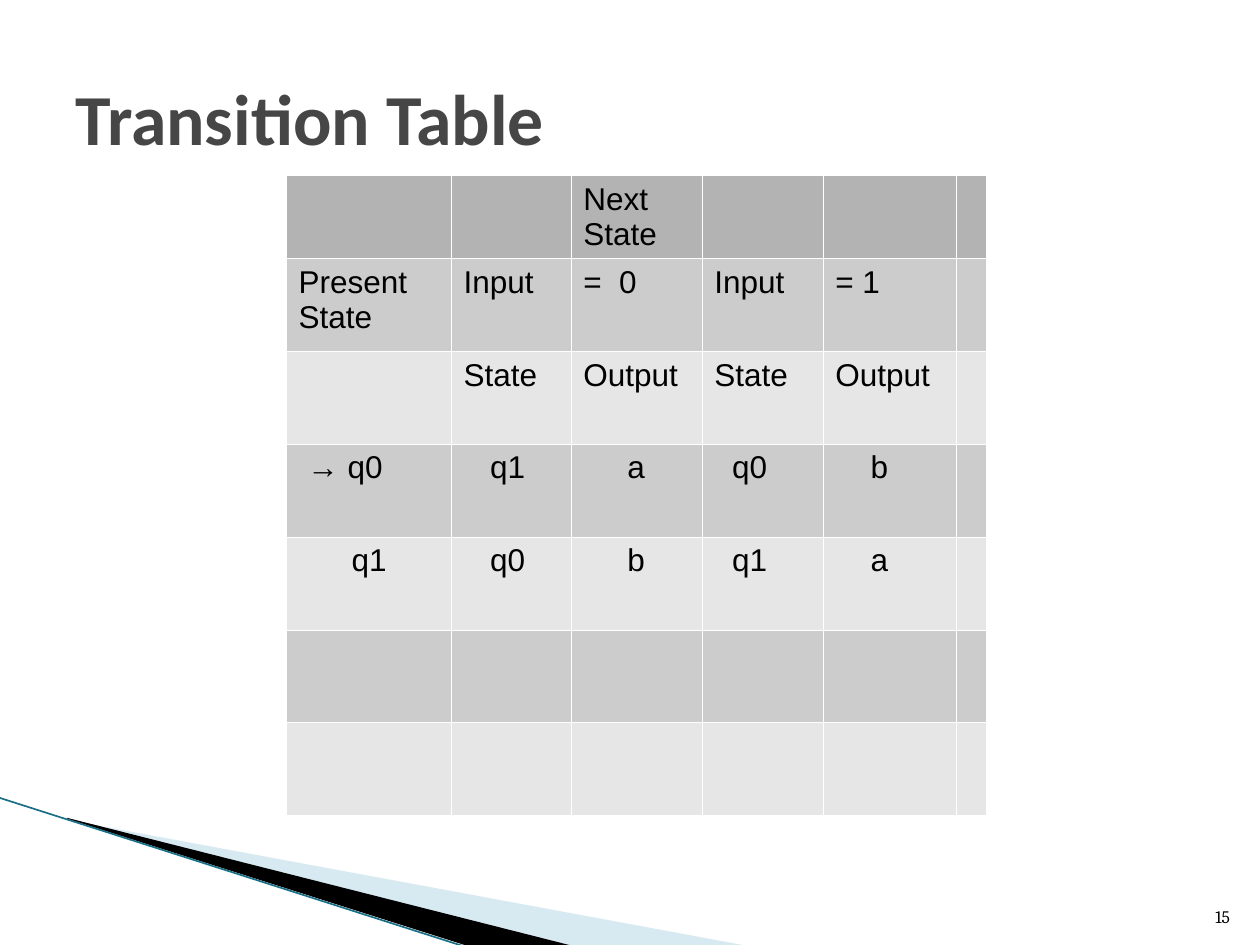
from lxml import etree
from pptx import Presentation
from pptx import util as u
from pptx.dml.color import RGBColor
from pptx.enum import shapes, text
from pptx.oxml.ns import qn

BLACK = RGBColor(0x00, 0x00, 0x00)
WHITE = RGBColor(0xFF, 0xFF, 0xFF)
TITLE_GRAY = RGBColor(0x46, 0x46, 0x46)
HEADER_GRAY = RGBColor(0xB3, 0xB3, 0xB3)
BAND_GRAYS = [RGBColor(0xE6, 0xE6, 0xE6), RGBColor(0xCC, 0xCC, 0xCC)]
PALE_BLUE = RGBColor(0x9F, 0xCB, 0xDC)
TEAL = RGBColor(0x19, 0x6F, 0x85)

presentation = Presentation()
presentation.slide_width, presentation.slide_height = u.Inches(10), u.Inches(7.5)
slide = presentation.slides.add_slide(presentation.slide_layouts[6])


def format_runs(paragraph, font_name, size, color, bold=False):
    """Apply one font to every run of a paragraph."""
    for run in paragraph.runs:
        run.font.name, run.font.size, run.font.bold = font_name, u.Pt(size), bold
        run.font.color.rgb = color


def add_label(box, content, anchor, alignment, *font):
    """Add a one-line text box; box is left, top, width, height in inches."""
    label = slide.shapes.add_textbox(*[u.Inches(length) for length in box])
    frame = label.text_frame
    frame.text = content
    frame.word_wrap = True
    frame.vertical_anchor = anchor
    frame.paragraphs[0].alignment = alignment
    format_runs(frame.paragraphs[0], *font)


# Corner wedges and their edge line
wedges = [
    (PALE_BLUE, 40, [(0.55, 6.51), (5.95, 7.51), (4.56, 7.51), (0.55, 6.5)]),
    (BLACK, 100, [(0.53, 6.49), (4.56, 7.51), (3.72, 7.51), (0.54, 6.5)]),
]
for color, opacity, points in wedges:
    corners = [(u.Inches(x), u.Inches(y)) for x, y in points]
    builder = slide.shapes.build_freeform(*corners[0])
    builder.add_line_segments(corners[1:], close=True)
    wedge = builder.convert_to_shape()
    wedge.shadow.inherit = False
    wedge.line.fill.background()
    wedge.fill.solid()
    wedge.fill.fore_color.rgb = color
    if opacity < 100:
        color_element = wedge._element.spPr.find(".//" + qn("a:srgbClr"))
        etree.SubElement(color_element, qn("a:alpha"), val=str(opacity * 1000))

edge = slide.shapes.add_connector(
    shapes.MSO_CONNECTOR.STRAIGHT,
    u.Inches(-0.01), u.Inches(6.33), u.Inches(3.71), u.Inches(7.52))
edge.line.color.rgb = TEAL
edge.line.width = u.Pt(0.96)
etree.SubElement(edge._element.spPr, qn("a:effectLst"))

# Slide number and title
add_label((9.46, 7.01, 0.4, 0.4), "15", text.MSO_ANCHOR.BOTTOM,
          text.PP_ALIGN.RIGHT, "Cambria", 10, BLACK)
add_label((0.5, 0.3, 9, 1.25), "Transition Table", text.MSO_ANCHOR.MIDDLE,
          text.PP_ALIGN.LEFT, "Calibri", 41, TITLE_GRAY, True)

# Transition table
table_height, header_height = 5.08, 0.66
column_widths = [1.31, 0.95, 1.04, 0.96, 1.06, 0.24]
row_heights = [header_height] + [(table_height - header_height) / 6] * 6
rows = [
    ["", "", "Next State", "", "", ""],
    ["Present State", "Input", "=  0", "Input", "= 1", ""],
    ["", "State", "Output", "State", "Output", ""],
    ["→ q0", "q1", "a", "q0", "b", ""],
    ["q1", "q0", "b", "q1", "a", ""],
    [""] * 6,
    [""] * 6,
]
# Left indents in inches for the two rows of states
indents = {3: [0.07, 0.21, 0.35, 0.14, 0.28, 0],
           4: [0.42, 0.21, 0.35, 0.14, 0.28, 0]}

table = slide.shapes.add_table(
    len(rows), len(column_widths), u.Inches(2.27), u.Inches(1.39),
    u.Inches(sum(column_widths)), u.Inches(table_height)).table
for column, width in zip(table.columns, column_widths):
    column.width = u.Inches(width)

for row_index, row in enumerate(rows):
    table.rows[row_index].height = u.Inches(row_heights[row_index])
    for column_index, content in enumerate(row):
        cell = table.cell(row_index, column_index)
        cell.text_frame.text = content
        paragraph = cell.text_frame.paragraphs[0]
        format_runs(paragraph, "Arial", 18, BLACK)
        if row_index in indents:
            indent = u.Inches(indents[row_index][column_index])
            paragraph._p.get_or_add_pPr().set("marL", str(indent))
        if row_index == 0:
            cell.margin_bottom = u.Inches(0.01)

        properties = cell._tc.get_or_add_tcPr()
        for side in ("a:lnL", "a:lnR", "a:lnT", "a:lnB"):
            border = etree.SubElement(properties, qn(side), w=str(u.Pt(0.06)))
            border_fill = etree.SubElement(border, qn("a:solidFill"))
            etree.SubElement(border_fill, qn("a:srgbClr"), val=str(WHITE))
        cell.fill.solid()
        cell.fill.fore_color.rgb = (
            BAND_GRAYS[row_index % 2] if row_index else HEADER_GRAY)

presentation.save("out.pptx")
